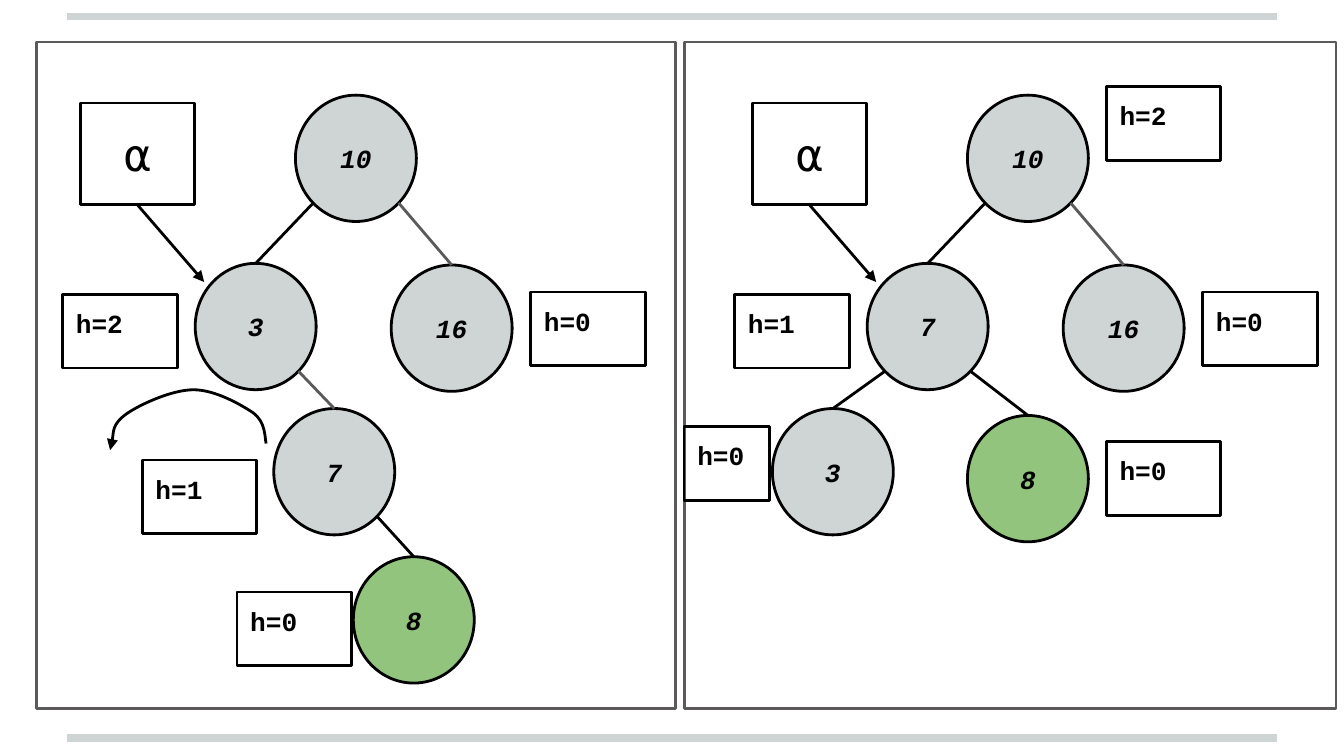
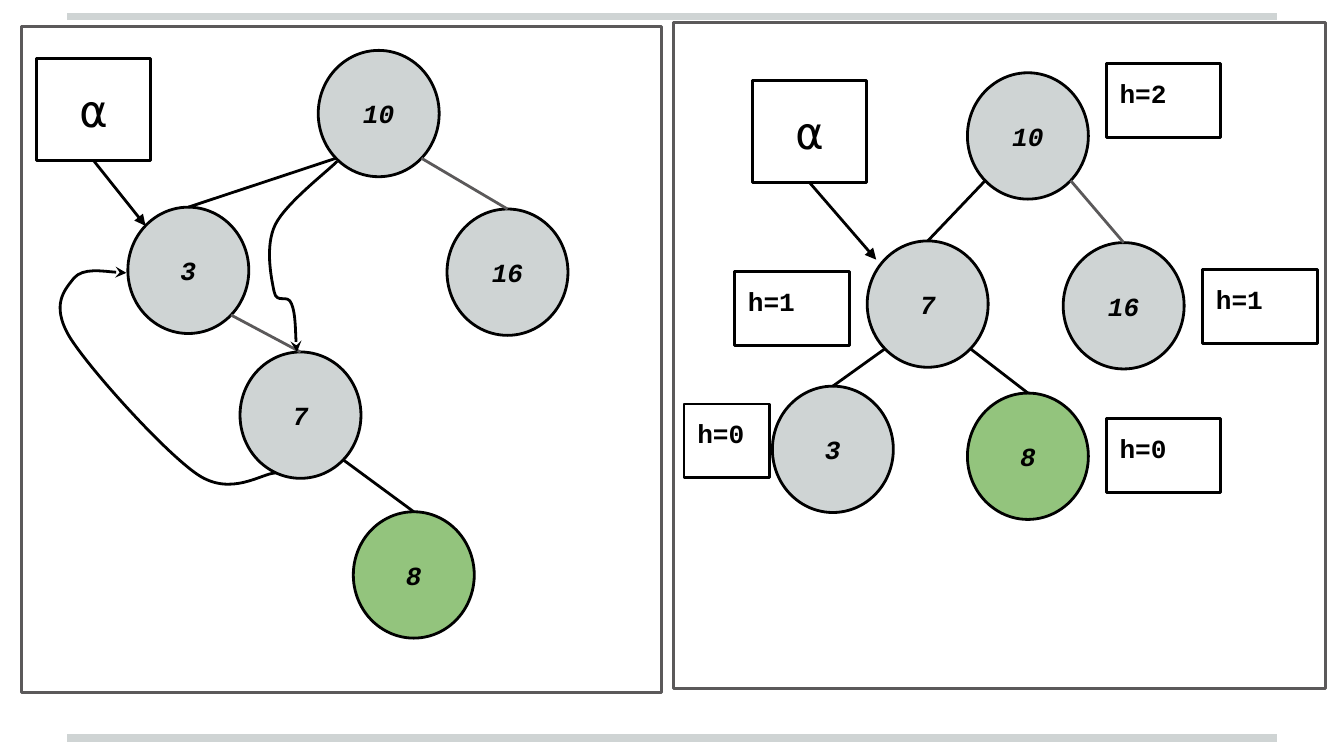
import math
from dataclasses import dataclass, field

from lxml import etree
from pptx import Presentation
from pptx.dml.color import RGBColor
from pptx.enum.shapes import MSO_CONNECTOR, MSO_SHAPE
from pptx.enum.text import MSO_ANCHOR, PP_ALIGN
from pptx.oxml.ns import qn
from pptx.util import Pt

OVAL, RECT = MSO_SHAPE.OVAL, MSO_SHAPE.RECTANGLE
STRAIGHT = MSO_CONNECTOR.STRAIGHT
TOP, MIDDLE = MSO_ANCHOR.TOP, MSO_ANCHOR.MIDDLE
LEFT, CENTER = PP_ALIGN.LEFT, PP_ALIGN.CENTER

COLORS = {"black": "000000", "gray": "5B595A", "node": "CFD4D4",
          "new": "93C47D", "rule": "CFD4D4"}
FONT = "Courier New"
NODE_W, NODE_H = 64.8, 67.7
LABEL_W, LABEL_H = 61.4, 39.6
ALPHA_H = 54.6
FRAME_TOP_H = 357
LEFT_FRAME_W, RIGHT_FRAME_W = 342.7, 349.2
DIAGONAL = math.sqrt(0.125)

Point = tuple[float, float]


@dataclass
class Label:
    text: str
    x: float
    y: float
    w: float = LABEL_W


@dataclass
class Edge:
    parent: str
    child: str
    side: int
    color: str = "black"


@dataclass
class Curve:
    head: str
    points: list[Point]


@dataclass
class Panel:
    frame: tuple[float, float, float]
    alpha: Point
    alpha_tip: Point
    nodes: dict[str, Point]
    edges: list[Edge]
    labels: list[Label] = field(default_factory=list)
    curves: list[Curve] = field(default_factory=list)
    dy: float = 0


def rgb(name: str) -> RGBColor:
    return RGBColor.from_string(COLORS[name])


def write(sp, text: str, size: float = 14, bold: bool = True, italic: bool = False,
          align=CENTER, anchor=MIDDLE) -> None:
    tf = sp.text_frame
    tf.word_wrap = True
    tf.vertical_anchor = anchor
    tf.margin_left = tf.margin_right = tf.margin_top = tf.margin_bottom = Pt(7.2)
    p = tf.paragraphs[0]
    p.alignment = align
    r = p.add_run()
    r.text = text
    r.font.name, r.font.size = FONT, Pt(size)
    r.font.bold, r.font.italic = bold, italic
    r.font.color.rgb = rgb("black")


def set_line(sp, color: str = "black", width: float = 1.5, head: str = "") -> None:
    sp.line.color.rgb = rgb(color)
    sp.line.width = Pt(width)
    if head:
        ln = sp.element.find(".//" + qn("a:ln"))
        etree.SubElement(ln, qn("a:tailEnd"), type=head)


def add_box(s, kind, x: float, y: float, w: float, h: float,
            fill: str = "", line: str = "black"):
    sp = s.shapes.add_shape(kind, Pt(x), Pt(y), Pt(w), Pt(h))
    sp.shadow.inherit = False
    if fill:
        sp.fill.solid()
        sp.fill.fore_color.rgb = rgb(fill)
    else:
        sp.fill.background()
    set_line(sp, line)
    return sp


def add_line(s, start: Point, end: Point, color: str = "black",
             width: float = 1.5, head: str = ""):
    cxn = s.shapes.add_connector(STRAIGHT, *(Pt(v) for v in start + end))
    set_line(cxn, color, width, head)
    etree.SubElement(cxn.element.find(qn("p:spPr")), qn("a:effectLst"))
    return cxn


def add_curve(s, curve: Curve) -> None:
    pts = [(Pt(x), Pt(y)) for x, y in curve.points]
    builder = s.shapes.build_freeform(*pts[0])
    builder.add_line_segments(pts[1:], close=False)
    sp = builder.convert_to_shape()
    sp.shadow.inherit = False
    sp.fill.background()
    set_line(sp, head=curve.head)
    steps = list(sp.element.iter(qn("a:lnTo")))
    for i in range(0, len(steps), 3):
        bezier = etree.Element(qn("a:cubicBezTo"))
        steps[i].addprevious(bezier)
        for step in steps[i:i + 3]:
            bezier.append(step[0])
            step.getparent().remove(step)


def draw_panel(s, panel: Panel) -> None:
    x, y, w = panel.frame
    add_box(s, RECT, x, y, w, FRAME_TOP_H, line="gray")
    nodes = {}
    for key, (x, y) in panel.nodes.items():
        fill = "new" if key == "8" else "node"
        nodes[key] = add_box(s, OVAL, x, y + panel.dy, NODE_W, NODE_H, fill)
        write(nodes[key], key, italic=True)
    for edge in panel.edges:
        x, y = panel.nodes[edge.parent]
        start = (x + NODE_W * (0.5 + edge.side * DIAGONAL),
                 y + panel.dy + NODE_H * (0.5 + DIAGONAL))
        cxn = add_line(s, start, start, edge.color)
        cxn.end_connect(nodes[edge.child], 0)
    for label in panel.labels:
        sp = add_box(s, RECT, label.x, label.y + panel.dy, label.w, LABEL_H)
        write(sp, label.text, align=LEFT, anchor=TOP)
    x, y = panel.alpha
    alpha = add_box(s, RECT, x, y + panel.dy, LABEL_W, ALPHA_H)
    write(alpha, "⍺", size=24, bold=False)
    tip = (panel.alpha_tip[0], panel.alpha_tip[1] + panel.dy)
    add_line(s, tip, tip, head="triangle").begin_connect(alpha, 2)
    for curve in panel.curves:
        add_curve(s, curve)


def rotated_panel(x: float, y: float, right_height: str, dy: float = 0) -> Panel:
    return Panel(
        frame=(x, y, RIGHT_FRAME_W), alpha=(403, 55.2), alpha_tip=(469.4, 151.1), dy=dy,
        nodes={"10": (518.3, 51), "7": (464.6, 141.1), "16": (569.6, 142),
               "3": (413.8, 218.9), "8": (518.3, 222.6)},
        edges=[Edge("10", "7", -1), Edge("10", "16", 1, "gray"),
               Edge("7", "3", -1), Edge("7", "8", 1)],
        labels=[Label("h=2", 592.7, 46.2), Label("h=1", 393.6, 157.6),
                Label(right_height, 644.3, 156.4), Label("h=0", 592.7, 236.4),
                Label("h=0", 366.5, 228.4, 45.7)])


UNBALANCED_EDGES = [Edge("10", "3", -1), Edge("10", "16", 1, "gray"),
                    Edge("3", "7", 1, "gray"), Edge("7", "8", 1)]

HEIGHTS = Panel(
    frame=(19.4, 22.5, LEFT_FRAME_W), alpha=(43, 55.2), alpha_tip=(109.4, 151.1),
    nodes={"10": (158.3, 51), "3": (104.6, 141.1), "16": (209.6, 142),
           "7": (146.7, 218.9), "8": (189.3, 298.3)},
    edges=UNBALANCED_EDGES,
    labels=[Label("h=2", 33.6, 157.6), Label("h=0", 284.3, 156.4),
            Label("h=1", 76.2, 246.4), Label("h=0", 127, 317.1)],
    curves=[Curve("triangle", [
        (142.6, 237.6), (141.8, 234.7), (142.6, 226.1), (135.4, 221),
        (128.9, 216.7), (115.2, 208.8), (103.7, 208.8),
        (92.2, 208.8), (74.9, 216.7), (67.7, 221.8),
        (59.8, 227.5), (60.5, 237.6), (59, 241.2)])])

POINTERS = Panel(
    frame=(11.6, 14.2, LEFT_FRAME_W), alpha=(19.4, 31.4), alpha_tip=(78, 121),
    nodes={"10": (170.5, 27), "3": (68.5, 111), "16": (239.5, 112),
           "7": (128.6, 188.6), "8": (189.3, 274.2)},
    edges=UNBALANCED_EDGES,
    curves=[
        Curve("stealth", [
            (180.7, 86.4), (175, 92.2), (153.4, 108.7), (147.6, 120.2),
            (141.8, 131.8), (145.4, 149), (146.9, 156.2),
            (148.3, 163.4), (154.1, 157), (156.2, 162.7),
            (158.4, 167.8), (158.4, 184.3), (159.1, 188.6)]),
        Curve("stealth", [
            (147.6, 253.4), (140.4, 253.4), (123.8, 266.4), (105.8, 254.2),
            (87.8, 241.9), (48.2, 198), (37.4, 180.7),
            (26.6, 162.7), (35.3, 154.8), (39.6, 149),
            (44.6, 143.3), (62.6, 146.2), (67.7, 146.2)])])

SLIDES = [
    [HEIGHTS, rotated_panel(366.5, 22.5, "h=0")],
    [POINTERS, rotated_panel(360.7, 12.1, "h=1", dy=-12)],
]


def main() -> None:
    prs = Presentation()
    prs.slide_width, prs.slide_height = Pt(720), Pt(405)
    layout = prs.slide_layouts[6]
    slides = [prs.slides.add_slide(layout) for _ in SLIDES]
    for y in (395.5, 8.8):
        rule = add_line(slides[0], (36, y), (684, y), "rule", 4)
        layout.shapes.element.append(rule.element)
    for s, panels in zip(slides, SLIDES):
        for panel in panels:
            draw_panel(s, panel)
    prs.save("out.pptx")


if __name__ == "__main__":
    main()
